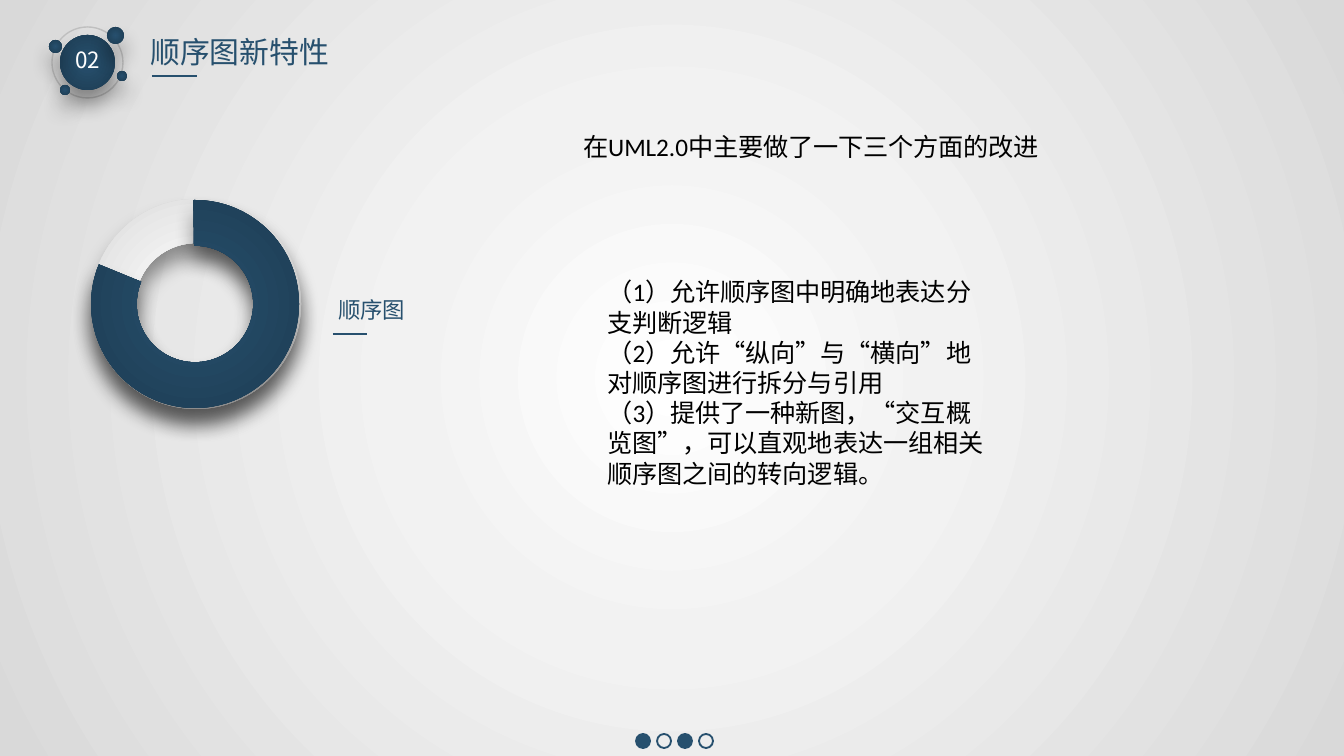
"""Build the slide on new features of sequence diagrams."""
from dataclasses import dataclass
from typing import Optional

import lxml.etree
import pptx
import pptx.dml.color
import pptx.enum.shapes
import pptx.enum.text
import pptx.oxml
import pptx.oxml.ns
import pptx.util

PX = 914400 / 134.4
NAVY = "27506E"
NAVY_GLOW = ((0, NAVY), (100, "1D3C52"))
PALE_GLOW = ((0, "FFFFFF"), (35, "F2F2F2"), (100, "D9D9D9"))
SHAPE = pptx.enum.shapes.MSO_SHAPE
qn = pptx.oxml.ns.qn


@dataclass
class Round:
    left: int
    top: int
    size: int
    kind: int = SHAPE.OVAL
    glow: tuple = ()
    fill: Optional[str] = None
    line: Optional[str] = None
    width: float = 1
    adjust: tuple = ()


@dataclass
class Label:
    box: tuple
    lines: tuple
    size: float
    font: str
    color: str
    wrap: bool = True


@dataclass
class Rule:
    left: int
    right: int
    y: int


ROUNDS = [
    Round(52, 27, 71, line="BFBFBF", width=0.75),
    *(Round(x, y, d, glow=NAVY_GLOW) for x, y, d in
      ((60, 35, 55), (107, 27, 17), (49, 40, 13), (60, 85, 10), (117, 71, 10))),
    *(Round(636 + 21 * i, 734, 14, fill=None if i % 2 else NAVY, line=NAVY)
      for i in range(4)),
    Round(91, 199, 210, SHAPE.DONUT, PALE_GLOW, adjust=(0.21,)),
    Round(91, 200, 208, SHAPE.BLOCK_ARC, NAVY_GLOW, adjust=(161.45, 121.45, 0.22)),
]
RULES = [Rule(152, 197, 76), Rule(333, 367, 334)]
CJK = "Noto Sans CJK SC"
TITLE = Label((137, 27, 208, 50), ("顺序图新特性",), 16, CJK, NAVY, False)
BODY = Label((594, 270, 410, 227), (
    "（1）允许顺序图中明确地表达分支判断逻辑",
    "（2）允许“纵向”与“横向”地对顺序图进行拆分与引用",
    "（3）提供了一种新图，“交互概览图”，可以直观地表达一组相关顺序图之间的转向逻辑。",
), 13.5, "Calibri", "000000")
LABELS = [
    Label((62, 40, 55, 40), ("02",), 12, CJK, "FFFFFF", False),
    Label((325, 290, 255, 40), ("顺序图",), 12, CJK, NAVY),
    Label((570, 125, 527, 44), ("在UML2.0中主要做了一下三个方面的改进",),
          13.5, "Calibri", "000000"),
]


def px(n: int) -> int:
    """Turn pixels into EMU."""
    return round(n * PX)


def rgb(value: str) -> pptx.dml.color.RGBColor:
    """Turn a hex string into a colour."""
    return pptx.dml.color.RGBColor.from_string(value)


def set_all(target, values: dict) -> None:
    """Set attributes from a dict."""
    for name, value in values.items():
        setattr(target, name, value)


def radiate(fill, owner, stops: tuple) -> None:
    """Give the owner element a radial gradient."""
    fill.solid()
    stop_xml = "".join(
        f'<a:gs pos="{at * 1000}"><a:srgbClr val="{rgb(color)}"/></a:gs>'
        for at, color in stops)
    grad = pptx.oxml.parse_xml(
        f'<a:gradFill {pptx.oxml.ns.nsdecls("a")} rotWithShape="1">'
        f'<a:gsLst>{stop_xml}</a:gsLst><a:path path="circle">'
        '<a:fillToRect l="50000" t="50000" r="50000" b="50000"/>'
        '</a:path></a:gradFill>')
    owner.replace(owner.find(qn("a:solidFill")), grad)


def cast_shadow(sp) -> None:
    """Drop a soft shadow below a shape."""
    effects = sp._element.spPr.find(qn("a:effectLst"))
    shadow = lxml.etree.SubElement(
        effects, qn("a:outerShdw"), blurRad=str(pptx.util.Pt(11)),
        dist=str(pptx.util.Pt(8)), dir="5400000", algn="t", rotWithShape="0")
    color = lxml.etree.SubElement(shadow, qn("a:srgbClr"), val=str(rgb("000000")))
    lxml.etree.SubElement(color, qn("a:alpha"), val="40000")


def draw_round(s, item: Round) -> None:
    """Draw a circle, ring or arc."""
    sp = s.shapes.add_shape(
        item.kind, px(item.left), px(item.top), px(item.size), px(item.size))
    for i, value in enumerate(item.adjust):
        sp.adjustments[i] = value
    if item.line:
        sp.line.color.rgb = rgb(item.line)
        sp.line.width = pptx.util.Pt(item.width)
    else:
        sp.line.fill.background()
    sp.shadow.inherit = False
    if item.glow:
        radiate(sp.fill, sp._element.spPr, item.glow)
        cast_shadow(sp)
    elif item.fill:
        sp.fill.solid()
        sp.fill.fore_color.rgb = rgb(item.fill)
    else:
        sp.fill.background()


def draw_rule(s, rule: Rule) -> None:
    """Draw a short underline."""
    line = s.shapes.add_connector(
        pptx.enum.shapes.MSO_CONNECTOR.STRAIGHT,
        px(rule.left), px(rule.y), px(rule.right), px(rule.y))
    line.line.color.rgb = rgb(NAVY)
    line.line.width = pptx.util.Pt(1.5)
    lxml.etree.SubElement(line._element.spPr, qn("a:effectLst"))


def write(sp, label: Label) -> None:
    """Place a text shape and fill it with formatted paragraphs."""
    set_all(sp, dict(zip(("left", "top", "width", "height"), map(px, label.box))))
    tf = sp.text_frame
    set_all(tf, {
        "text": "\n".join(label.lines),
        "word_wrap": label.wrap,
        "auto_size": pptx.enum.text.MSO_AUTO_SIZE.SHAPE_TO_FIT_TEXT,
        "vertical_anchor": pptx.enum.text.MSO_ANCHOR.TOP,
    })
    for p in tf.paragraphs:
        set_all(p, {"alignment": pptx.enum.text.PP_ALIGN.LEFT,
                    "space_before": pptx.util.Pt(0)})
        pPr = p._p.get_or_add_pPr()
        pPr.set("marL", "0")
        pPr.set("indent", "0")
        lxml.etree.SubElement(pPr, qn("a:buNone"))
        for r in p.runs:
            set_all(r.font, {"size": pptx.util.Pt(label.size), "name": label.font})
            r.font.color.rgb = rgb(label.color)


def main() -> None:
    """Build and save the slide."""
    prs = pptx.Presentation()
    set_all(prs, {"slide_width": px(1344), "slide_height": px(756)})
    s = prs.slides.add_slide(prs.slide_layouts[1])
    fill = s.background.fill
    fill.solid()
    radiate(fill, s._element.find(".//" + qn("p:bgPr")), PALE_GLOW)
    for item in ROUNDS:
        draw_round(s, item)
    for rule in RULES:
        draw_rule(s, rule)
    write(s.shapes.title, TITLE)
    write(s.placeholders[1], BODY)
    for label in LABELS:
        write(s.shapes.add_textbox(*map(px, label.box)), label)
    prs.save("out.pptx")


if __name__ == "__main__":
    main()
